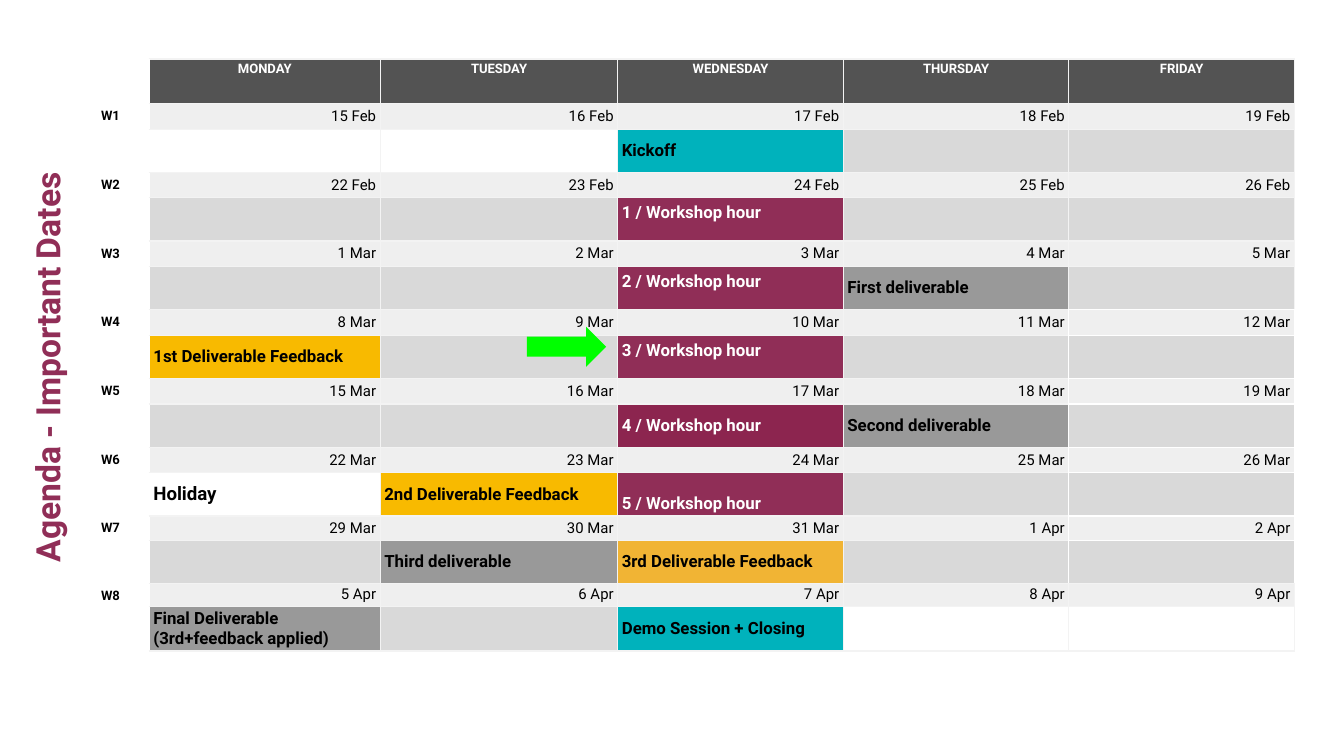
from lxml.etree import SubElement
from pptx import Presentation
from pptx.dml.color import RGBColor
from pptx.enum.shapes import MSO_SHAPE
from pptx.enum.text import MSO_ANCHOR, PP_ALIGN
from pptx.oxml.ns import qn
from pptx.util import Inches, Pt

W = Inches(10)
H = W * 9 // 16
FONT = "Roboto"
COLORS = {
    "head": "535353", "date": "EFEFEF", "free": "D9D9D9", "off": "FFFFFF",
    "teal": "00B2BC", "plum": "902E57", "wine": "8C254F", "grey": "999999",
    "gold": "F8BA00", "amber": "F1B434", "green": "00FF00", "rule": "F3F3F3",
    "black": "000000", "white": "FFFFFF",
}
WEEKDAYS = ["MONDAY", "TUESDAY", "WEDNESDAY", "THURSDAY", "FRIDAY"]
DATES = [f"{day} {month}"
         for month, first, last in (("Feb", 15, 28), ("Mar", 1, 31), ("Apr", 1, 9))
         for day in range(first, last + 1)]
COL_WIDTHS = [0.39, 1.72, 1.77, 1.68, 1.68, 1.68]
HEAD_HEIGHT = 0.33
DATE_HEIGHTS = [0.19] * 6 + [0.18, 0.17]
EVENT_HEIGHTS = [0.32] * 7 + [0.33]
TOP, MIDDLE, BOTTOM = MSO_ANCHOR.TOP, MSO_ANCHOR.MIDDLE, MSO_ANCHOR.BOTTOM

EVENTS = {
    (0, 0): ("", "off"), (0, 1): ("", "off"), (0, 2): ("Kickoff", "teal"),
    (1, 2): ("1 / Workshop hour", "plum", TOP),
    (2, 2): ("2 / Workshop hour", "plum", TOP),
    (2, 3): ("First deliverable", "grey"),
    (3, 0): ("1st Deliverable Feedback", "gold"),
    (3, 2): ("3 / Workshop hour", "plum", TOP),
    (4, 2): ("4 / Workshop hour", "wine"),
    (4, 3): ("Second deliverable", "grey"),
    (5, 0): ("Holiday", "off"),
    (5, 1): ("2nd Deliverable Feedback", "gold"),
    (5, 2): ("5 / Workshop hour", "plum", BOTTOM),
    (6, 1): ("Third deliverable", "grey"),
    (6, 2): ("3rd Deliverable Feedback", "amber"),
    (7, 0): ("Final Deliverable (3rd+feedback applied)", "grey"),
    (7, 2): ("Demo Session + Closing", "teal"),
    (7, 3): ("", "off"), (7, 4): ("", "off"),
}


def rgb(name):
    """Return the named colour."""
    return RGBColor.from_string(COLORS[name])


def style_run(r, size, color, bold):
    """Format one run."""
    r.font.name, r.font.size, r.font.bold = FONT, Pt(size), bold
    r.font.color.rgb = rgb(color)


def set_borders(cell, color):
    """Draw the four borders of a cell."""
    tc_pr = cell._tc.get_or_add_tcPr()
    for side in "LRTB":
        ln = SubElement(tc_pr, qn(f"a:ln{side}"), w=str(Pt(0.75)))
        fill = SubElement(ln, qn("a:solidFill"))
        SubElement(fill, qn("a:srgbClr"), val=COLORS[color])


def fill_cell(cell, text, size, fill=None, color="black", bold=True,
              align=PP_ALIGN.LEFT, anchor=MIDDLE, border="rule"):
    """Write and style one table cell."""
    if fill:
        set_borders(cell, border)
        cell.fill.solid()
        cell.fill.fore_color.rgb = rgb(fill)
    else:
        cell.fill.background()
    cell.margin_left = cell.margin_right = Inches(0.03)
    cell.margin_top = cell.margin_bottom = Inches(0.02)
    cell.vertical_anchor = anchor
    p = cell.text_frame.paragraphs[0]
    p.alignment = align
    if text:
        p.text = text
        style_run(p.runs[0], size, color, bold)
    else:
        SubElement(p._p, qn("a:endParaRPr"), sz=str(size * 100))


def add_week(table, week):
    """Fill the date row and the event row of one week."""
    row = 1 + 2 * week
    label = table.cell(row, 0)
    label.merge(table.cell(row + 1, 0))
    fill_cell(label, f"W{week + 1}", 7, anchor=TOP)
    label.text_frame.paragraphs[0].line_spacing = 1.15
    for day in range(5):
        border = "white" if day == 4 and 3 <= week <= 6 else "rule"
        fill_cell(table.cell(row, day + 1), DATES[7 * week + day], 8, "date",
                  bold=False, align=PP_ALIGN.RIGHT, border=border)
        text, fill, *rest = EVENTS.get((week, day), ("", "free"))
        cell = table.cell(row + 1, day + 1)
        fill_cell(cell, text, 10 if text == "Holiday" else 9, fill,
                  color="white" if fill in ("plum", "wine") else "black",
                  anchor=rest[0] if rest else MIDDLE, border=border)
        if TOP in rest:
            cell.margin_top = Inches(0.04)


def add_calendar(slide, x, y, w, h):
    """Place the eight-week calendar in the given box."""
    heights = [HEAD_HEIGHT]
    for pair in zip(DATE_HEIGHTS, EVENT_HEIGHTS):
        heights += pair
    table = slide.shapes.add_table(len(heights), len(COL_WIDTHS), x, y, w, h).table
    table.first_row = table.horz_banding = False
    for col, width in zip(table.columns, COL_WIDTHS):
        col.width = int(w * width / sum(COL_WIDTHS))
    for row, height in zip(table.rows, heights):
        row.height = int(h * height / sum(heights))
    fill_cell(table.cell(0, 0), "", 7)
    for i, name in enumerate(WEEKDAYS, 1):
        fill_cell(table.cell(0, i), name, 7, "head", "white",
                  align=PP_ALIGN.CENTER, anchor=TOP)
    for week in range(len(DATE_HEIGHTS)):
        add_week(table, week)


def add_side_title(slide, x, y, w, h):
    """Place the title reading upwards inside the given upright box."""
    sp = slide.shapes.add_textbox(x + (w - h) // 2, y + (h - w) // 2, h, w)
    sp.rotation = 270
    tf = sp.text_frame
    tf.word_wrap = True
    tf.vertical_anchor = TOP
    tf.margin_left = tf.margin_right = tf.margin_top = tf.margin_bottom = Inches(0.1)
    p = tf.paragraphs[0]
    p.text = "Agenda - Important Dates"
    p.alignment = PP_ALIGN.CENTER
    style_run(p.runs[0], 18, "plum", True)


def add_pointer(slide, x, y, w, h):
    """Place the arrow that marks the current workshop."""
    sp = slide.shapes.add_shape(MSO_SHAPE.RIGHT_ARROW, x, y, w, h)
    sp.shadow.inherit = False
    sp.fill.solid()
    sp.fill.fore_color.rgb = rgb("green")
    sp.line.fill.background()


def share(x, y, w, h):
    """Turn percentages of the slide into a box."""
    return [int(part * full / 100) for part, full in zip((x, y, w, h), (W, H, W, H))]


def main():
    """Build and save the slide."""
    prs = Presentation()
    prs.slide_width, prs.slide_height = W, H
    slide = prs.slides.add_slide(prs.slide_layouts[6])
    add_calendar(slide, *share(7.22, 7.82, 89.1, 78.3))
    add_side_title(slide, *share(1, 7.15, 4, 82.85))
    add_pointer(slide, *share(39.2, 43.2, 5.9, 5.33))
    prs.save("out.pptx")


if __name__ == "__main__":
    main()
